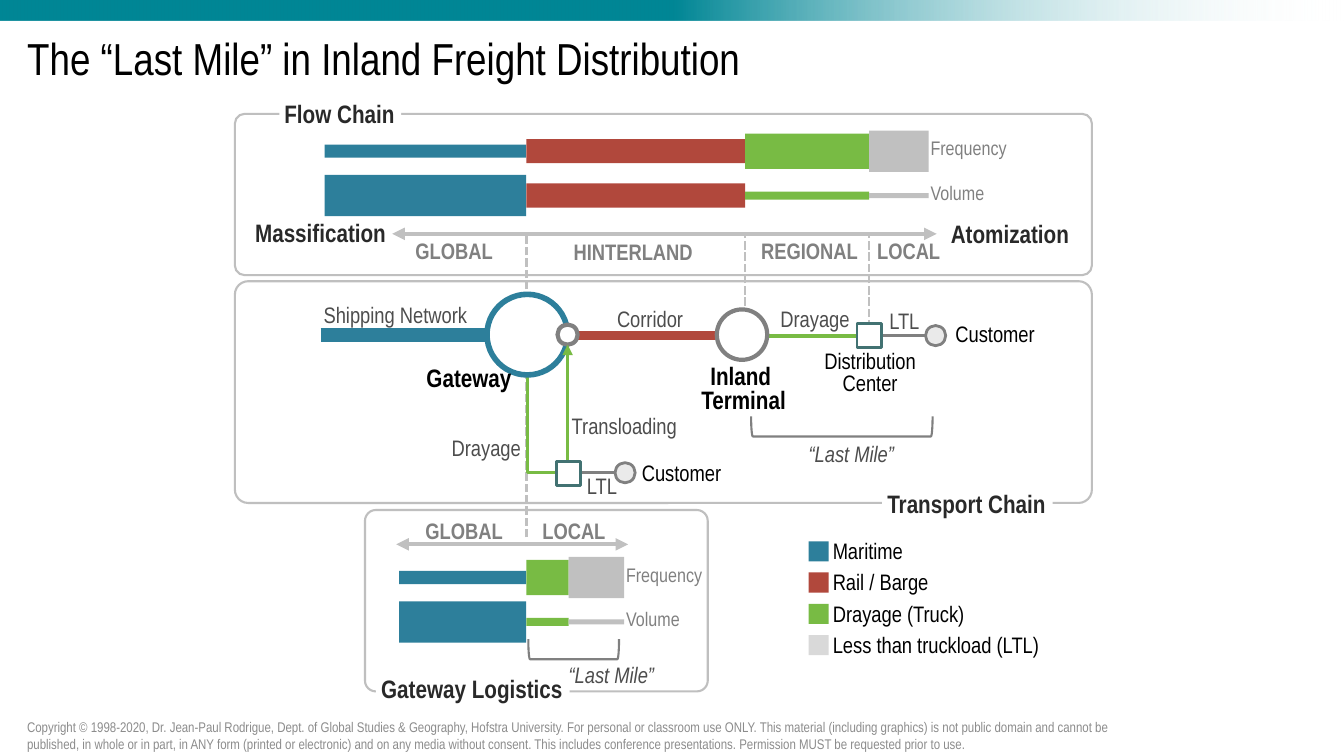
from pptx import Presentation
from pptx.dml.color import RGBColor
from pptx.enum.dml import MSO_LINE
from pptx.enum.shapes import MSO_CONNECTOR, MSO_SHAPE
from pptx.enum.text import MSO_ANCHOR, MSO_AUTO_SIZE, PP_ALIGN
from pptx.oxml.ns import qn
from pptx.util import Inches, Pt
from lxml.etree import SubElement

BLACK = RGBColor(0x00, 0x00, 0x00)
WHITE = RGBColor(0xFF, 0xFF, 0xFF)
INK = RGBColor(0x29, 0x29, 0x29)
DARK = RGBColor(0x4D, 0x4D, 0x4D)
GRAY = RGBColor(0x80, 0x80, 0x80)
NOTE = RGBColor(0x8C, 0x8C, 0x8C)
FRAME = RGBColor(0xBF, 0xBF, 0xBF)
SILVER = RGBColor(0xC0, 0xC0, 0xC0)
LIGHT = RGBColor(0xD9, 0xD9, 0xD9)
PALE = RGBColor(0xEA, 0xEA, 0xEA)
TEAL = RGBColor(0x00, 0x86, 0x95)
SLATE = RGBColor(0x42, 0x72, 0x72)
BLUE = RGBColor(0x2D, 0x7F, 0x9B)
RED = RGBColor(0xB1, 0x48, 0x3C)
GREEN = RGBColor(0x78, 0xBB, 0x44)

SEA = (BLUE, 0.13, 0.41)
RAIL = (RED, 0.24, 0.24)
TRUCK = (GREEN, 0.35, 0.08)
LTL = (SILVER, 0.41, 0.05)


class Board:
    font = "Arial Narrow"

    def __init__(self, deck):
        self.slide = deck.slides.add_slide(deck.slide_layouts[5])
        self.shapes = self.slide.shapes

    def runs(self, par, words, size, color, bold=False, italic=False):
        for n, line in enumerate(words.split("\n")):
            if n:
                par.add_line_break()
            run = par.add_run()
            run.text = line
            font = run.font
            font.name, font.size, font.bold, font.italic = self.font, Pt(size), bold, italic
            font.color.rgb = color

    def title(self, words):
        box = self.shapes.title
        box.left, box.top, box.width, box.height = map(Inches, (0.17, 0.2, 13, 0.8))
        frame = box.text_frame
        frame.auto_size = MSO_AUTO_SIZE.NONE
        frame.vertical_anchor = MSO_ANCHOR.MIDDLE
        par = frame.paragraphs[0]
        par.alignment, par.line_spacing = PP_ALIGN.LEFT, 0.9
        self.runs(par, words, 32, BLACK)

    def shape(self, kind, x, y, w, h, fill=None, line=None, width=1.5):
        item = self.shapes.add_shape(kind, *map(Inches, (x, y, w, h)))
        item.shadow.inherit = False
        if fill is None:
            item.fill.background()
        else:
            item.fill.solid()
            item.fill.fore_color.rgb = fill
        if line is None:
            item.line.fill.background()
        else:
            item.line.color.rgb = line
            item.line.width = Pt(width)
        return item

    def band(self):
        item = self.shape(MSO_SHAPE.RECTANGLE, 0, 0, 13.33, 0.2)
        item.fill.gradient()
        item.fill.gradient_angle = 0
        first, last = item.fill.gradient_stops
        first.position, first.color.rgb = 0.5, TEAL
        last.position, last.color.rgb = 1, WHITE
        tone = item.element.spPr.findall(".//" + qn("a:srgbClr"))[-1]
        SubElement(tone, qn("a:alpha")).set("val", "0")

    def panel(self, x, y, w, h):
        item = self.shape(MSO_SHAPE.ROUNDED_RECTANGLE, x, y, w, h, line=FRAME)
        item.adjustments[0] = 0.06

    def box(self, x, y, side, fill, line=None):
        self.shape(MSO_SHAPE.RECTANGLE, x, y, side, side, fill, line, 2)

    def node(self, x, y, size, fill, line, width):
        self.shape(MSO_SHAPE.OVAL, x, y, size, size, fill, line, width)

    def brace(self, x, y, w):
        item = self.shape(MSO_SHAPE.LEFT_BRACKET, x + w / 2 - 0.1, y + 0.1 - w / 2,
                          0.2, w, line=GRAY)
        item.rotation = 270

    def line(self, x1, y1, x2, y2, color, width, dash=False, ends=(), bent=False):
        kind = MSO_CONNECTOR.ELBOW if bent else MSO_CONNECTOR.STRAIGHT
        item = self.shapes.add_connector(kind, *map(Inches, (x1, y1, x2, y2)))
        item.line.color.rgb = color
        item.line.width = Pt(width)
        if dash:
            item.line.dash_style = MSO_LINE.SQUARE_DOT
        props = item.element.spPr
        if bent:
            props.find(qn("a:prstGeom")).set("prst", "bentConnector2")
        for end in ends:
            SubElement(props.find(qn("a:ln")), qn("a:" + end)).set("type", "triangle")
        SubElement(props, qn("a:effectLst"))

    def fit(self, item, words, size, color, bold, italic, tight, pad):
        frame = item.text_frame
        frame.word_wrap = False
        frame.auto_size = MSO_AUTO_SIZE.SHAPE_TO_FIT_TEXT
        frame.margin_left = frame.margin_right = Inches(pad)
        frame.margin_top = frame.margin_bottom = 0
        par = frame.paragraphs[0]
        par.alignment = PP_ALIGN.CENTER if tight else PP_ALIGN.LEFT
        if tight:
            par.line_spacing = 0.8
        self.runs(par, words, size, color, bold, italic)

    def label(self, words, x, y, w, h=0.27, size=16, color=DARK, bold=False,
              italic=False, tight=False):
        item = self.shapes.add_textbox(*map(Inches, (x, y, w, h)))
        self.fit(item, words, size, color, bold, italic, tight, 0)

    def tag(self, words, x, y, w):
        item = self.shape(MSO_SHAPE.RECTANGLE, x, y, w, 0.3, WHITE)
        self.fit(item, words, 18, INK, True, False, False, 0.05)

    def bars(self, edges, modes, mid):
        for name, row in (("Frequency", 1), ("Volume", 2)):
            y = mid + 0.44 * (row - 1)
            for left, right, mode in zip(edges, edges[1:], modes):
                high = mode[row]
                self.shape(MSO_SHAPE.RECTANGLE, left, y - high / 2, right - left, high, mode[0])
            wide = 0.76 if row == 1 else 0.54
            self.label(name, edges[-1] + 0.02, y - 0.15, wide, 0.24, 14, GRAY)

    def axis(self, x1, x2, y):
        self.line(x1, y, x2, y, SILVER, 3, ends=("headEnd", "tailEnd"))

    def note(self, words):
        item = self.shapes.add_textbox(*map(Inches, (0.17, 7.1, 10.95, 0.4)))
        frame = item.text_frame
        frame.word_wrap = True
        frame.vertical_anchor = MSO_ANCHOR.MIDDLE
        self.runs(frame.paragraphs[0], words, 10, NOTE)


def main():
    deck = Presentation()
    deck.slide_width, deck.slide_height = Inches(13.33), Inches(7.5)
    board = Board(deck)
    board.band()
    board.title("The “Last Mile” in Inland Freight Distribution")
    board.note(
        "Copyright © 1998-2020, Dr. Jean-Paul Rodrigue, Dept. of Global Studies & Geography, "
        "Hofstra University. For personal or classroom use ONLY. This material (including "
        "graphics) is not public domain and cannot be published, in whole or in part, in ANY "
        "form (printed or electronic) and on any media without consent. This includes "
        "conference presentations. Permission MUST be requested prior to use.")

    for x, y, w, h in ((2.33, 1.13, 8.5, 1.6), (2.33, 2.79, 8.5, 2.2), (3.62, 5.06, 3.4, 1.8)):
        board.panel(x, y, w, h)
    for x, y in ((5.22, 5.33), (7.39, 3.37), (8.62, 3.37)):
        board.line(x, y, x, 2.33, SILVER, 2, dash=True)

    board.axis(3.89, 9.29, 2.32)
    board.bars((3.22, 5.22, 7.39, 8.62, 9.21), (SEA, RAIL, TRUCK, LTL), 1.5)
    board.axis(3.93, 6.23, 5.4)
    board.bars((3.96, 5.22, 5.64, 6.19), (SEA, TRUCK, LTL), 5.73)
    for words, x, y, w in (
            ("GLOBAL", 4.12, 2.35, 0.78), ("HINTERLAND", 5.69, 2.36, 1.2),
            ("REGIONAL", 7.55, 2.35, 0.97), ("LOCAL", 8.7, 2.35, 0.63),
            ("GLOBAL", 4.22, 5.13, 0.78), ("LOCAL", 5.38, 5.13, 0.63)):
        board.label(words, x, y, w, color=GRAY, bold=True)
    board.label("Massification", 2.53, 2.16, 1.31, 0.3, 18, INK, True)
    board.label("Atomization", 9.43, 2.17, 1.18, 0.3, 18, INK, True)

    for x1, y, x2, color, width in (
            (3.18, 3.32, 4.85, BLUE, 10), (5.61, 3.33, 7.21, RED, 6),
            (7.61, 3.33, 8.5, GREEN, 3), (9.18, 3.33, 8.74, GRAY, 2),
            (6.1, 4.69, 5.75, GRAY, 2)):
        board.line(x1, y, x2, y, color, width)
    board.line(5.52, 4.69, 5.23, 3.72, GREEN, 2.5, bent=True)
    for x, y, size, fill, line, width in (
            (4.83, 2.92, 0.8, WHITE, BLUE, 4), (5.53, 3.22, 0.2, WHITE, GRAY, 3),
            (7.11, 3.07, 0.5, WHITE, GRAY, 3), (9.18, 3.23, 0.2, PALE, GRAY, 2),
            (6.1, 4.59, 0.2, PALE, GRAY, 2)):
        board.node(x, y, size, fill, line, width)
    board.line(5.63, 4.58, 5.63, 3.42, GREEN, 2.5, ends=("tailEnd",))
    for x, y in ((8.5, 3.21), (5.52, 4.58)):
        board.box(x, y, 0.24, WHITE, SLATE)

    for words, x, y, w in (
            ("Shipping Network", 3.21, 2.99, 1.44), ("Corridor", 6.12, 3.03, 0.66),
            ("Drayage", 7.74, 3.03, 0.69), ("LTL", 8.82, 3.05, 0.3),
            ("Drayage", 4.48, 4.31, 0.69), ("Transloading", 5.67, 4.09, 1.05),
            ("LTL", 5.82, 4.68, 0.3)):
        board.label(words, x, y, w)
    board.label("Gateway", 4.23, 3.59, 0.85, 0.3, 18, BLACK, True)
    board.label("Inland \nTerminal", 6.95, 3.63, 0.85, 0.48, 18, BLACK, True, tight=True)
    board.label("Distribution\nCenter", 8.17, 3.5, 0.92, 0.43, color=BLACK, tight=True)
    for x, y in ((9.47, 3.23), (6.36, 4.61)):
        board.label("Customer", x, y, 0.8, 0.22, color=BLACK, tight=True)
    for x, y, w, left, top in ((7.45, 4.13, 1.8, 8.02, 4.37), (5.24, 6.34, 0.9, 5.64, 6.56)):
        board.brace(x, y, w)
        board.label("“Last Mile”", left, top, 0.86, italic=True)

    for n, (words, color, w) in enumerate((
            ("Maritime", BLUE, 0.7), ("Rail / Barge", RED, 0.96),
            ("Drayage (Truck)", GREEN, 1.32), ("Less than truckload (LTL)", LIGHT, 2.07))):
        y = 5.37 + 0.31 * n
        board.box(8.02, y, 0.2, color)
        board.label(words, 8.26, y - 0.04, w, color=BLACK)

    for words, x, y, w in (
            ("Flow Chain", 2.77, 0.98, 1.21), ("Transport Chain", 8.75, 4.84, 1.69),
            ("Gateway Logistics", 3.73, 6.68, 1.92)):
        board.tag(words, x, y, w)
    deck.save("out.pptx")


if __name__ == "__main__":
    main()
